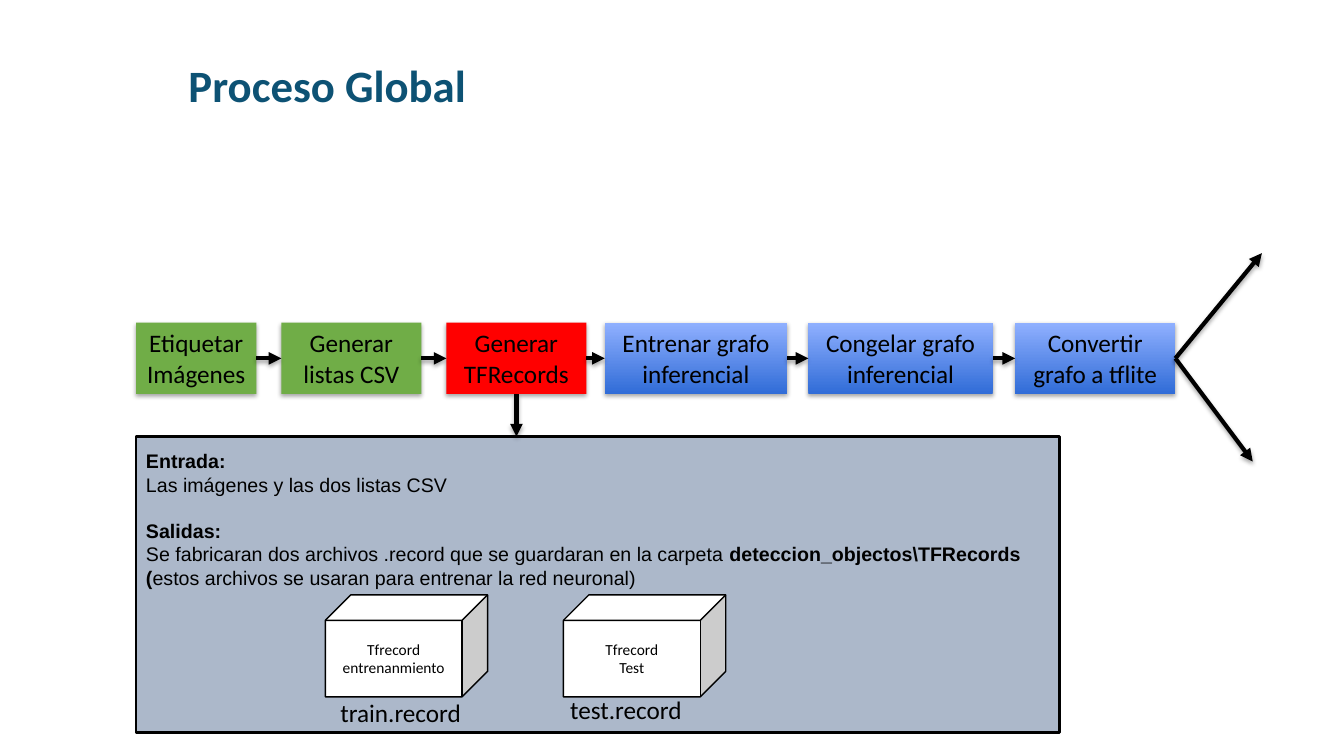
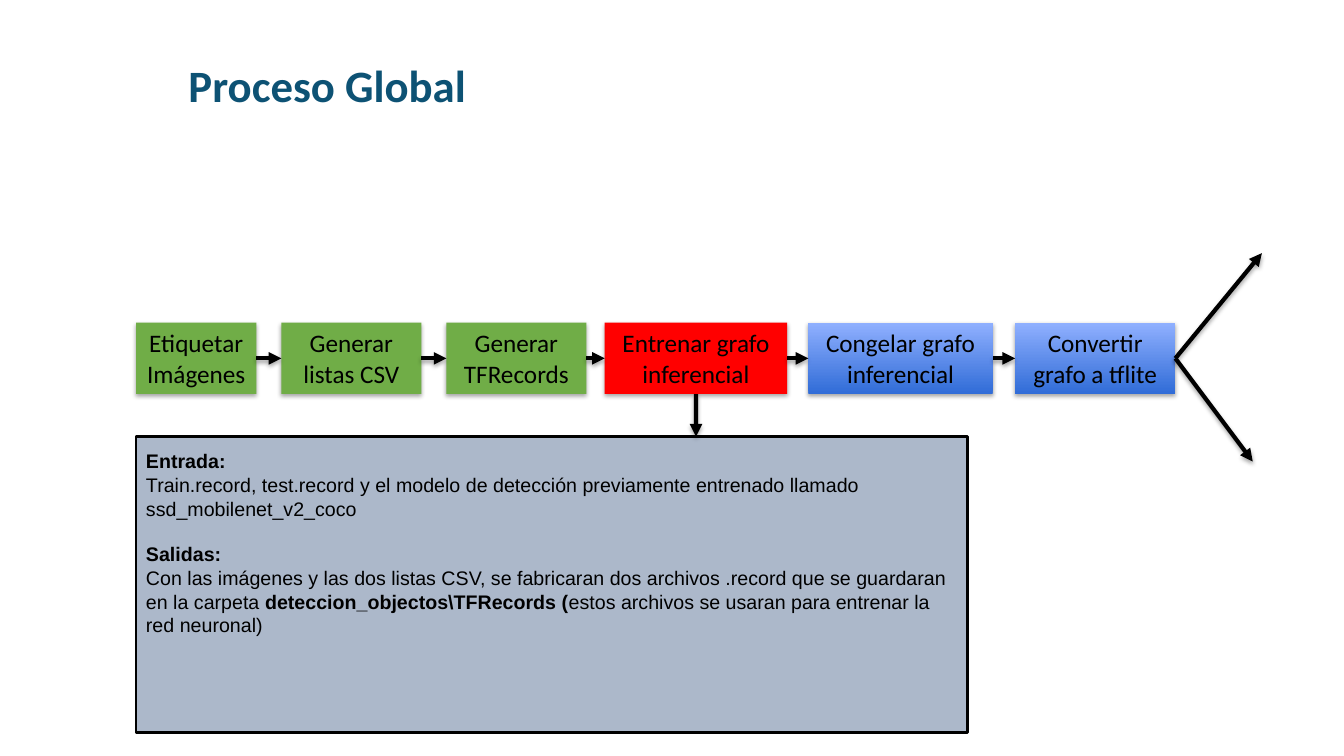
from lxml.etree import SubElement
from pptx import Presentation
from pptx.dml.color import RGBColor
from pptx.enum.shapes import MSO_CONNECTOR, MSO_SHAPE
from pptx.enum.text import MSO_ANCHOR, PP_ALIGN
from pptx.oxml.ns import qn
from pptx.util import Cm, Pt

BLACK = RGBColor(0x00, 0x00, 0x00)
WHITE = RGBColor(0xFF, 0xFF, 0xFF)
TITLE_BLUE = RGBColor(0x0D, 0x52, 0x74)
DONE_GREEN = RGBColor(0x70, 0xAD, 0x47)
CURRENT_RED = RGBColor(0xFF, 0x00, 0x00)
PENDING_DARK = RGBColor(0x30, 0x6C, 0xD7)
PENDING_LIGHT = RGBColor(0x90, 0xB0, 0xFF)
PANEL_GREY = RGBColor(0xAC, 0xB8, 0xCA)

TITLE = "Proceso Global"
STEPS = [
    ("Etiquetar\nImágenes", 3.43, 3.03),
    ("Generar listas CSV", 7.09, 3.53),
    ("Generar TFRecords", 11.25, 3.53),
    ("Entrenar grafo inferencial", 15.24, 4.6),
    ("Congelar grafo inferencial", 20.37, 4.65),
    ("Convertir grafo a tflite", 25.58, 4.04),
]
STEP_TOP, STEP_HEIGHT = 8.13, 1.8
FAN_ENDS = [(31.8, 6.38), (31.57, 11.63)]
PANEL_LEFT, PANEL_TOP, PANEL_HEIGHT = 3.43, 11, 7.47
CUBE_TOP, CUBE_WIDTH, CUBE_HEIGHT = 14.99, 4.09, 2.57

FOLDER = [
    ("deteccion_objectos\\TFRecords (", True),
    ("estos archivos se usaran para entrenar la red neuronal)", False),
]
SLIDES = [
    {
        "current": 2,
        "panel_width": 23.27,
        "input": "Las imágenes y las dos listas CSV",
        "output": "Se fabricaran dos archivos .record que se guardaran en la carpeta ",
        "records": [
            ("Tfrecord\nentrenanmiento", 8.2, "train.record", 8.33, 17.45),
            ("Tfrecord\nTest", 14.2, "test.record", 14.12, 17.37),
        ],
    },
    {
        "current": 3,
        "panel_width": 20.96,
        "input": "Train.record, test.record y el modelo de detección previamente "
                 "entrenado llamado ssd_mobilenet_v2_coco",
        "output": "Con las imágenes y las dos listas CSV, se fabricaran dos archivos "
                  ".record que se guardaran en la carpeta ",
        "records": [],
    },
]


def style_span(span, size, color=BLACK, bold=False, font="Calibri"):
    span.font.name = font
    span.font.size = Pt(size)
    span.font.bold = bold
    span.font.color.rgb = color


def write(shape, text, size, color=BLACK, bold=False, align=PP_ALIGN.LEFT, anchor=MSO_ANCHOR.TOP):
    frame = shape.text_frame
    frame.word_wrap = True
    frame.vertical_anchor = anchor
    frame.text = text
    for para in frame.paragraphs:
        para.alignment = align
        for span in para.runs:
            style_span(span, size, color, bold)


def add_label(page, text, left, top, width, height, size, color=BLACK, bold=False):
    box = page.shapes.add_textbox(Cm(left), Cm(top), Cm(width), Cm(height))
    write(box, text, size, color, bold)


def add_solid(page, kind, left, top, width, height, fill, line_width):
    shape = page.shapes.add_shape(kind, Cm(left), Cm(top), Cm(width), Cm(height))
    shape.shadow.inherit = False
    shape.fill.solid()
    shape.fill.fore_color.rgb = fill
    if line_width:
        shape.line.color.rgb = BLACK
        shape.line.width = Pt(line_width)
    else:
        shape.line.fill.background()
    return shape


def add_shadow(properties):
    effects = properties.find(qn("a:effectLst"))
    if effects is None:
        effects = SubElement(properties, qn("a:effectLst"))
    shadow = SubElement(effects, qn("a:outerShdw"), blurRad="40000", dist="23000",
                        dir="5400000", rotWithShape="0")
    tint = SubElement(shadow, qn("a:srgbClr"), val=str(BLACK))
    SubElement(tint, qn("a:alpha"), val="35000")


def add_arrow(page, start, end):
    arrow = page.shapes.add_connector(MSO_CONNECTOR.STRAIGHT, *map(Cm, start + end))
    arrow.line.color.rgb = BLACK
    arrow.line.width = Pt(3)
    SubElement(arrow.line._get_or_add_ln(), qn("a:tailEnd"), type="triangle")
    add_shadow(arrow._element.spPr)
    return arrow


def add_step(page, text, left, width, state):
    fill = CURRENT_RED if state == 0 else DONE_GREEN
    step = add_solid(page, MSO_SHAPE.RECTANGLE, left, STEP_TOP, width, STEP_HEIGHT, fill, 0)
    if state > 0:
        step.fill.gradient()
        step.fill.gradient_angle = 90
        for stop, color in zip(step.fill.gradient_stops, (PENDING_DARK, PENDING_LIGHT)):
            stop.color.rgb = color
    add_shadow(step._element.spPr)
    write(step, text, 18, align=PP_ALIGN.CENTER)
    return step


def add_process(page, current):
    middle = STEP_TOP + STEP_HEIGHT / 2
    boxes = [add_step(page, text, left, width, index - current)
             for index, (text, left, width) in enumerate(STEPS)]
    for index in range(len(STEPS) - 1):
        _, left, width = STEPS[index]
        arrow = add_arrow(page, (left + width, middle), (STEPS[index + 1][1], middle))
        arrow.begin_connect(boxes[index], 3)
        arrow.end_connect(boxes[index + 1], 1)
    _, left, width = STEPS[-1]
    for end in FAN_ENDS:
        add_arrow(page, (left + width, middle), end).begin_connect(boxes[-1], 3)
    _, left, width = STEPS[current]
    center = left + width / 2
    down = add_arrow(page, (center, STEP_TOP + STEP_HEIGHT), (center, PANEL_TOP))
    down.begin_connect(boxes[current], 2)


def add_details(page, content):
    box = page.shapes.add_textbox(Cm(PANEL_LEFT), Cm(11.2), Cm(content["panel_width"]), Cm(3.84))
    frame = box.text_frame
    frame.word_wrap = True
    paragraphs = [
        [("Entrada:", True)],
        [(content["input"], False)],
        [("Salidas:", True)],
        [(content["output"], False)] + FOLDER,
    ]
    for index, pieces in enumerate(paragraphs):
        para = frame.add_paragraph() if index else frame.paragraphs[0]
        for text, bold in pieces:
            span = para.add_run()
            span.text = text
            style_span(span, 14, bold=bold, font="Arial")
    frame.paragraphs[2].space_before = Pt(16)


def build_slide(deck, content):
    page = deck.slides.add_slide(deck.slide_layouts[6])
    add_solid(page, MSO_SHAPE.RECTANGLE, PANEL_LEFT, PANEL_TOP, content["panel_width"],
              PANEL_HEIGHT, PANEL_GREY, 2)
    add_label(page, TITLE, 4.5, 1.32, 19.02, 1.63, 32, TITLE_BLUE, True)
    add_process(page, content["current"])
    add_details(page, content)
    for text, left, name, name_left, name_top in content["records"]:
        add_label(page, name, name_left, name_top, 4.9, 1.02, 18)
        cube = add_solid(page, MSO_SHAPE.CUBE, left, CUBE_TOP, CUBE_WIDTH, CUBE_HEIGHT, WHITE, 1)
        write(cube, text, 11, align=PP_ALIGN.CENTER, anchor=MSO_ANCHOR.MIDDLE)


def main():
    deck = Presentation()
    deck.slide_width, deck.slide_height = Cm(33.87), Cm(19.05)
    for content in SLIDES:
        build_slide(deck, content)
    deck.save("out.pptx")


if __name__ == "__main__":
    main()
